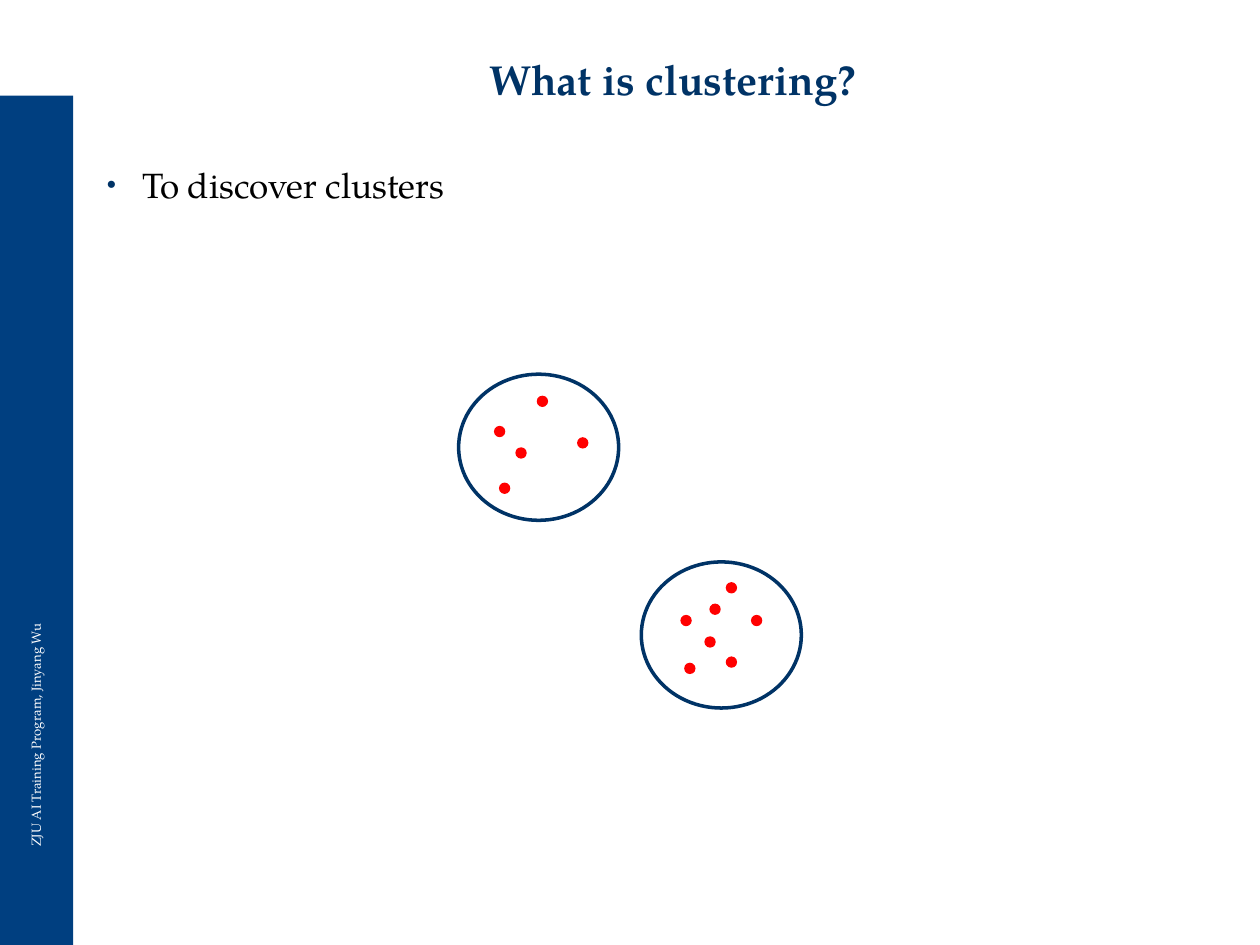
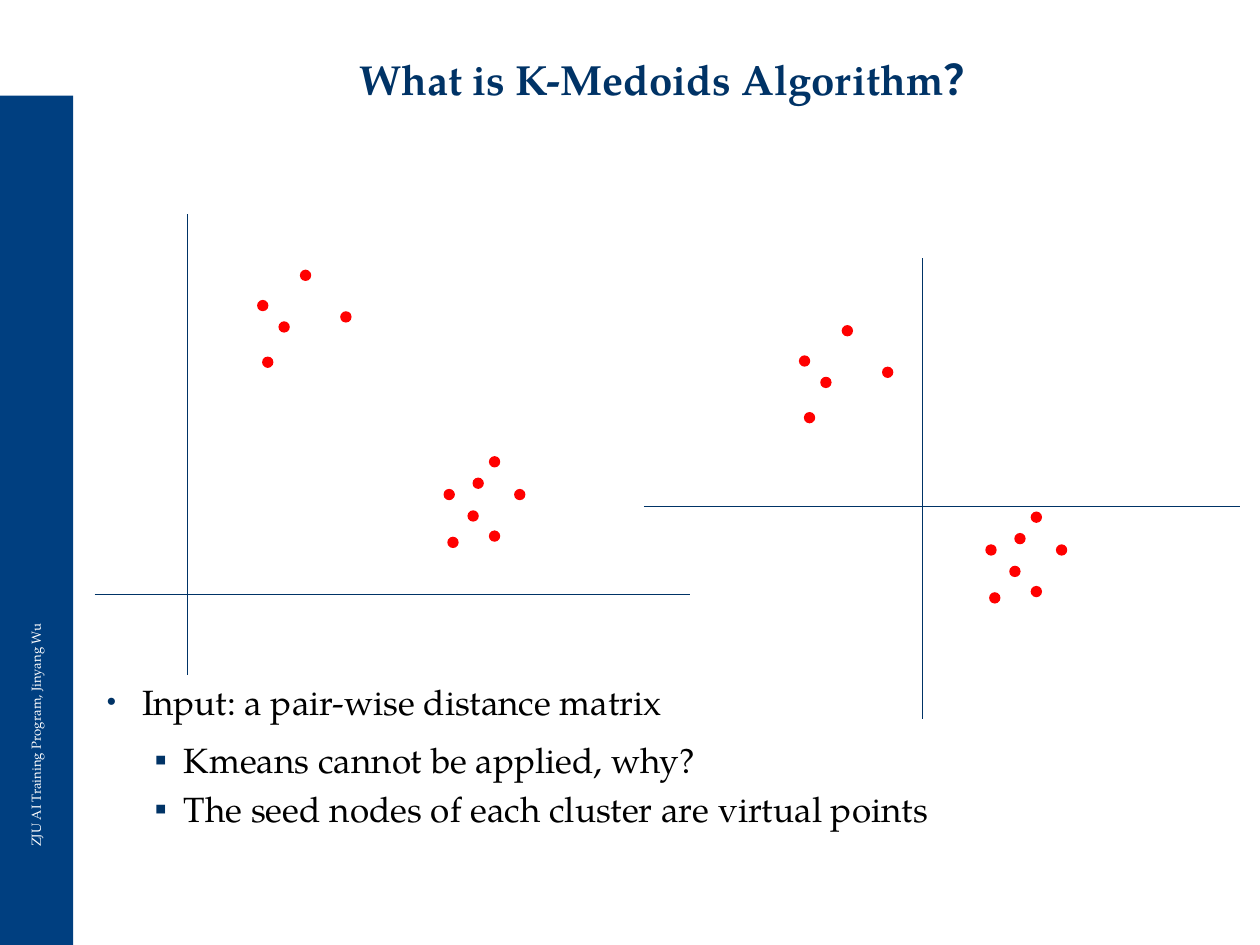
"""Build two slides on clustering and the K-Medoids algorithm."""
from dataclasses import dataclass
from typing import Any

from lxml import etree
from pptx import Presentation
from pptx.dml.color import RGBColor
from pptx.enum import shapes, text
from pptx.oxml import ns
from pptx.util import Inches, Pt

NAVY = RGBColor(0x00, 0x33, 0x66)
BAND = RGBColor(0x00, 0x3F, 0x80)
RED = RGBColor(0xFF, 0x00, 0x00)
BLACK = RGBColor(0x00, 0x00, 0x00)
WHITE = RGBColor(0xFF, 0xFF, 0xFF)
FONT = "TeX Gyre Pagella"
FOOTER = "ZJU AI Training Program, Jinyang Wu"
DOT = 0.09


@dataclass(frozen=True)
class Box:
    """A rectangle in inches."""
    left: float
    top: float
    width: float
    height: float

    def emu(self) -> tuple:
        return tuple(Inches(v) for v in (self.left, self.top, self.width, self.height))


@dataclass(frozen=True)
class Level:
    """The bullet and spacing of one outline level."""
    mark: str
    size: int
    margin: float
    hang: float
    before: float
    after: float


@dataclass(frozen=True)
class Plot:
    """A scatter of dots with its crossing axes."""
    left: float
    top: float
    axes: tuple


LEVELS = (Level("•", 75, 0.28, 0.28, 10, 5), Level("▪", 100, 0.61, 0.23, 4, 0))
DOTS = (
    (0, 0.24), (0.17, 0.41), (0.34, 0), (0.66, 0.33), (0.04, 0.69),
    (1.48, 1.74), (1.51, 2.12), (1.71, 1.65), (1.84, 1.48),
    (2.04, 1.74), (1.67, 1.91), (1.84, 2.07),
)
RINGS = (Box(3.64, 2.97, 1.27, 1.16), Box(5.09, 4.46, 1.27, 1.16))
PLOTS = (
    Plot(2.04, 2.14, ((1.49, 1.7, 1.49, 5.36), (0.75, 4.72, 5.48, 4.72))),
    Plot(6.34, 2.58, ((7.32, 2.05, 7.32, 5.71), (5.11, 4.02, 9.84, 4.02))),
)


def bullet(para: Any, level: Level) -> None:
    """Give a paragraph the bullet and spacing of its level."""
    para.space_before, para.space_after = Pt(level.before), Pt(level.after)
    props = para._p.get_or_add_pPr()
    props.set("marL", str(Inches(level.margin)))
    props.set("indent", str(-Inches(level.hang)))
    tint = etree.SubElement(props, ns.qn("a:buClr"))
    etree.SubElement(tint, ns.qn("a:srgbClr"), val=str(NAVY))
    etree.SubElement(props, ns.qn("a:buSzPct"), val=str(level.size * 1000))
    etree.SubElement(props, ns.qn("a:buFont"), typeface="Arial")
    etree.SubElement(props, ns.qn("a:buChar"), char=level.mark)


def write(slide: Any, box: Box, *lines: str, size: float = 20, color: RGBColor = BLACK,
          bold: bool = False, align: Any = text.PP_ALIGN.LEFT,
          anchor: Any = text.MSO_ANCHOR.TOP, spacing: float = 1.0,
          turn: float = 0, levels: tuple = ()) -> None:
    """Write lines of text in a box, with bullets when levels are given."""
    shape = slide.shapes.add_textbox(*box.emu())
    shape.rotation = turn
    frame = shape.text_frame
    frame.word_wrap, frame.vertical_anchor = True, anchor
    for i, line in enumerate(lines):
        para = frame.add_paragraph() if i else frame.paragraphs[0]
        para.alignment, para.line_spacing = align, spacing
        run = para.add_run()
        run.text = line
        run.font.name, run.font.size, run.font.bold = FONT, Pt(size), bold
        run.font.color.rgb = color
        if levels:
            para.level = levels[i]
            bullet(para, LEVELS[levels[i]])


def draw(parent: Any, kind: Any, box: Box, fill: RGBColor | None = None,
         line: RGBColor | None = None) -> None:
    """Draw a preset shape with a fill, an outline or both."""
    shape = parent.shapes.add_shape(kind, *box.emu())
    shape.shadow.inherit = False
    if fill is None:
        shape.fill.background()
    else:
        shape.fill.solid()
        shape.fill.fore_color.rgb = fill
    if line is None:
        shape.line.fill.background()
    else:
        shape.line.color.rgb, shape.line.width = line, Pt(2)


def scatter(parent: Any, left: float, top: float) -> None:
    """Draw both clusters of dots from a top left corner."""
    for x, y in DOTS:
        draw(parent, shapes.MSO_SHAPE.OVAL, Box(left + x, top + y, DOT, DOT), fill=RED)


def axis(parent: Any, ends: tuple) -> None:
    """Draw one axis line."""
    line = parent.shapes.add_connector(
        shapes.MSO_CONNECTOR.STRAIGHT, *(Inches(v) for v in ends))
    line.line.color.rgb, line.line.width = NAVY, Pt(0.75)
    etree.SubElement(line._element.spPr, ns.qn("a:effectLst"))


def start(deck: Any, title: str) -> Any:
    """Add a slide with the side band, footer and title."""
    slide = deck.slides.add_slide(deck.slide_layouts[6])
    draw(slide, shapes.MSO_SHAPE.RECTANGLE, Box(0, 0.76, 0.58, 6.74), fill=BAND)
    write(slide, Box(-2.67, 3.75, 5.91, 0.23), FOOTER, size=7.5, color=WHITE, turn=270)
    write(slide, Box(0.87, 0.21, 8.94, 0.67), title, size=24, color=NAVY, bold=True,
          align=text.PP_ALIGN.CENTER, anchor=text.MSO_ANCHOR.BOTTOM, spacing=0.9)
    return slide


def intro(deck: Any) -> None:
    """Build the slide that circles two clusters."""
    slide = start(deck, "What is clustering?")
    write(slide, Box(0.75, 1.25, 9.13, 0.5), "To discover clusters", levels=(0,))
    group = slide.shapes.add_group_shape()
    scatter(group, 3.92, 3.14)
    for ring in RINGS:
        draw(group, shapes.MSO_SHAPE.OVAL, ring, line=NAVY)


def medoids(deck: Any) -> None:
    """Build the slide that shows the clusters on two sets of axes."""
    slide = start(deck, "What is K-Medoids Algorithm？")
    write(slide, Box(0.75, 5.35, 9.13, 1.4), "Input: a pair-wise distance matrix",
          "Kmeans cannot be applied, why?",
          "The seed nodes of each cluster are virtual points", levels=(0, 1, 1))
    for plot in PLOTS:
        group = slide.shapes.add_group_shape()
        scatter(group, plot.left, plot.top)
        for ends in plot.axes:
            axis(group, ends)


def main() -> None:
    """Build and save the deck."""
    deck = Presentation()
    deck.slide_width, deck.slide_height = Inches(10), Inches(7.5)
    intro(deck)
    medoids(deck)
    deck.save("out.pptx")


if __name__ == "__main__":
    main()
